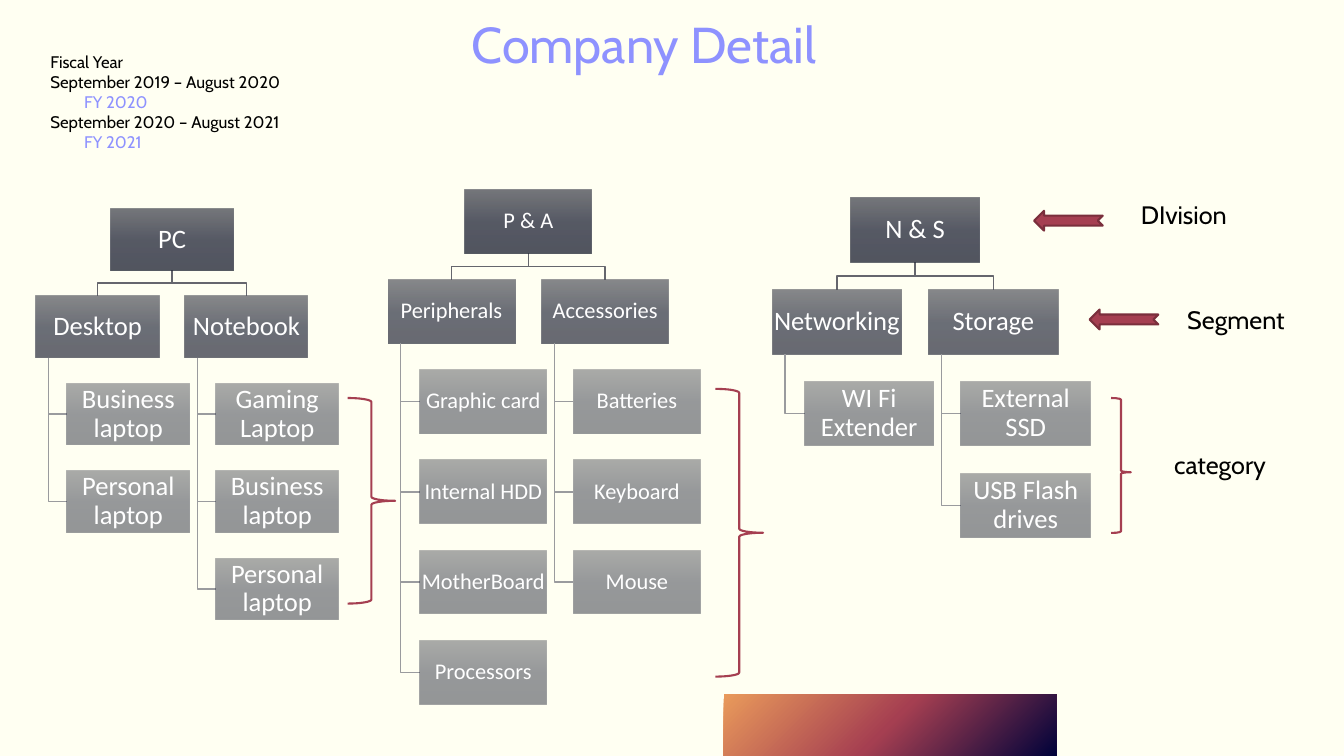
from typing import Any, NamedTuple

from pptx import Presentation
from pptx.dml.color import RGBColor
from pptx.enum.shapes import MSO_SHAPE
from pptx.enum.text import MSO_ANCHOR, MSO_AUTO_SIZE, PP_ALIGN
from pptx.oxml import parse_xml
from pptx.oxml.ns import nsdecls, qn
from pptx.util import Cm, Pt

RECT = MSO_SHAPE.RECTANGLE
BRACE = MSO_SHAPE.RIGHT_BRACE
ARROW = MSO_SHAPE.NOTCHED_RIGHT_ARROW
TOP, MIDDLE = MSO_ANCHOR.TOP, MSO_ANCHOR.MIDDLE
LEFT, CENTER = PP_ALIGN.LEFT, PP_ALIGN.CENTER
NO_FIT = MSO_AUTO_SIZE.NONE

CREAM, BLACK, WHITE = "FFFFF2", "000000", "FFFFFF"
LILAC, WINE, PLUM = "8E92FF", "A53F51", "7A2F3C"
DARK, PALE = "65666D", "9A9B9E"
SLATE = ((0, "55575F"), (50, "2E3243"), (100, "282C3C"))
DUSK = ((0, "00023A"), (50, WINE), (100, "E99A5B"))
DOWN = '<a:lin ang="5400000" scaled="0"/>'
CORNER = '<a:path path="circle"><a:fillToRect l="100000" t="100000"/></a:path>'


class Area(NamedTuple):
    x: float
    y: float
    w: float
    h: float


class Branch(NamedTuple):
    name: str
    leaves: tuple[str, ...]


class Tree(NamedTuple):
    name: str
    x: float
    y: float
    w: float
    size: int
    kids: tuple[Branch, ...]


class Line(NamedTuple):
    text: str
    color: str = BLACK
    indent: float = 0


class Label(NamedTuple):
    text: str
    x: float
    y: float


class Mark(NamedTuple):
    kind: Any
    area: Area
    edge: str
    fill: str = ""
    turn: int = 0
    bends: tuple[float, ...] = ()


TREES = (
    Tree("PC", 0.91, 5.26, 3.1, 19, (
        Branch("Desktop", ("Business laptop", "Personal laptop")),
        Branch("Notebook", ("Gaming Laptop", "Business laptop", "Personal laptop")),
    )),
    Tree("P & A", 9.78, 4.78, 3.2, 16, (
        Branch("Peripherals", ("Graphic card", "Internal HDD", "MotherBoard", "Processors")),
        Branch("Accessories", ("Batteries", "Keyboard", "Mouse")),
    )),
    Tree("N & S", 19.46, 4.98, 3.26, 19, (
        Branch("Networking", ("WI Fi Extender",)),
        Branch("Storage", ("External SSD", "USB Flash drives")),
    )),
)
YEARS = (
    Line("Fiscal Year"),
    Line("September 2019 – August 2020"),
    Line("FY 2020", LILAC, 0.85),
    Line("September 2020 – August 2021"),
    Line("FY 2021", LILAC, 0.85),
)
LABELS = (
    Label("category", 29.34, 11.2),
    Label("DIvision", 28.5, 4.9),
    Label("Segment", 29.67, 7.54),
)
MARKS = (
    Mark(BRACE, Area(28, 10.03, 0.5, 3.4), WINE, bends=(0.08, 0.55)),
    Mark(BRACE, Area(18.03, 9.8, 1.2, 7.25), WINE),
    Mark(BRACE, Area(8.76, 10.03, 1.2, 5.18), WINE),
    Mark(ARROW, Area(27.46, 7.8, 1.73, 0.5), PLUM, WINE, 180),
    Mark(ARROW, Area(26.06, 5.31, 1.73, 0.5), PLUM, WINE, 180),
)


def assign(thing: Any, values: dict[str, Any]) -> None:
    for key, value in values.items():
        setattr(thing, key, value)


def paint(fill: Any, code: str) -> None:
    fill.solid()
    fill.fore_color.rgb = RGBColor.from_string(code)


def blend(shape: Any, stops: tuple, course: str, alpha: int = 100) -> None:
    shape.fill.background()
    parts = "".join(
        f'<a:gs pos="{pos * 1000}"><a:srgbClr val="{code}">'
        f'<a:alpha val="{alpha * 1000}"/></a:srgbClr></a:gs>'
        for pos, code in stops
    )
    xml = f'<a:gradFill {nsdecls("a")} rotWithShape="1"><a:gsLst>{parts}</a:gsLst>{course}</a:gradFill>'
    props = shape._element.spPr
    props.replace(props.find(qn("a:noFill")), parse_xml(xml))


def write(shape: Any, lines: tuple[Line, ...], size: int, face: str = "Cabin",
          align: Any = LEFT, frame: dict[str, Any] | None = None, pitch: float = 1) -> None:
    body = shape.text_frame
    base = {"word_wrap": True, "auto_size": NO_FIT, "vertical_anchor": TOP}
    assign(body, base | (frame or {}))
    for i, line in enumerate(lines):
        para = body.add_paragraph() if i else body.paragraphs[0]
        if line.indent:
            para._p.get_or_add_pPr().set("marL", str(Cm(line.indent)))
        assign(para, {"alignment": align, "line_spacing": pitch, "space_before": Pt(0)})
        run = para.add_run()
        run.text = line.text
        assign(run.font, {"name": face, "size": Pt(size)})
        paint(run.font.fill, line.color)


def place(shapes: Any, kind: Any, area: Area) -> Any:
    shape = shapes.add_shape(kind, *map(Cm, area))
    shape.shadow.inherit = False
    shape.line.fill.background()
    return shape


def trace(shapes: Any, points: list[tuple[float, float]], color: str) -> None:
    spots = [(Cm(x), Cm(y)) for x, y in points]
    pen = shapes.build_freeform(*spots[0])
    pen.add_line_segments(spots[1:], close=False)
    shape = pen.convert_to_shape()
    shape.shadow.inherit = False
    shape.fill.background()
    paint(shape.line.fill, color)
    shape.line.width = Pt(1)


def node(shapes: Any, tree: Tree, text: str, x: float, y: float, alpha: int) -> None:
    box = place(shapes, RECT, Area(x, y, tree.w, tree.w / 2))
    blend(box, SLATE, DOWN, alpha)
    sides = ("margin_left", "margin_right", "margin_top", "margin_bottom")
    frame = dict.fromkeys(sides, Cm(0.03)) | {"vertical_anchor": MIDDLE}
    write(box, (Line(text, WHITE),), tree.size, "Calibri", CENTER, frame, 0.9)


def grow(shapes: Any, tree: Tree) -> None:
    w, high, step = tree.w, tree.w / 2, 0.71 * tree.w
    root = tree.x + 0.605 * w
    mid, base = root + w / 2, tree.y + high
    row = tree.y + step
    fork = (base + row) / 2
    for i, kid in enumerate(tree.kids):
        x = tree.x + 1.21 * w * i
        stem, leaf, hub = x + 0.1 * w, x + 0.25 * w, x + w / 2
        trace(shapes, [(mid, base), (mid, fork), (hub, fork), (hub, row)], DARK)
        node(shapes, tree, kid.name, x, row, 70)
        for j, text in enumerate(kid.leaves, 1):
            y = row + step * j
            level = y + high / 2
            trace(shapes, [(stem, row + high), (stem, level), (leaf, level)], PALE)
            node(shapes, tree, text, leaf, y, 50)
    node(shapes, tree, tree.name, root, tree.y, 80)


def stamp(shapes: Any, mark: Mark) -> None:
    shape = place(shapes, mark.kind, mark.area)
    if mark.fill:
        paint(shape.fill, mark.fill)
    else:
        shape.fill.background()
    paint(shape.line.fill, mark.edge)
    shape.line.width = Pt(1.5)
    shape.rotation = mark.turn
    for i, bend in enumerate(mark.bends):
        shape.adjustments[i] = bend


def main() -> None:
    deck = Presentation()
    assign(deck, {"slide_width": Cm(33.87), "slide_height": Cm(19.05)})
    slide = deck.slides.add_slide(deck.slide_layouts[5])
    shapes = slide.shapes
    paint(slide.background.fill, CREAM)
    title = shapes.title
    spot = Area(9.83, 0.2, 12.8, 1.8)
    assign(title, dict(zip(("left", "top", "width", "height"), map(Cm, spot))))
    write(title, (Line("Company Detail", LILAC),), 36, align=CENTER)
    blend(place(shapes, RECT, Area(18.24, 17.5, 8.38, 1.55)), DUSK, CORNER)
    write(shapes.add_textbox(*map(Cm, Area(1.02, 1.17, 7.42, 3.33))), YEARS, 12)
    for tree in TREES:
        grow(shapes, tree)
    for label in LABELS:
        box = shapes.add_textbox(*map(Cm, Area(label.x, label.y, 3.45, 1.02)))
        write(box, (Line(label.text),), 18)
    for mark in MARKS:
        stamp(shapes, mark)
    deck.save("out.pptx")


if __name__ == "__main__":
    main()
